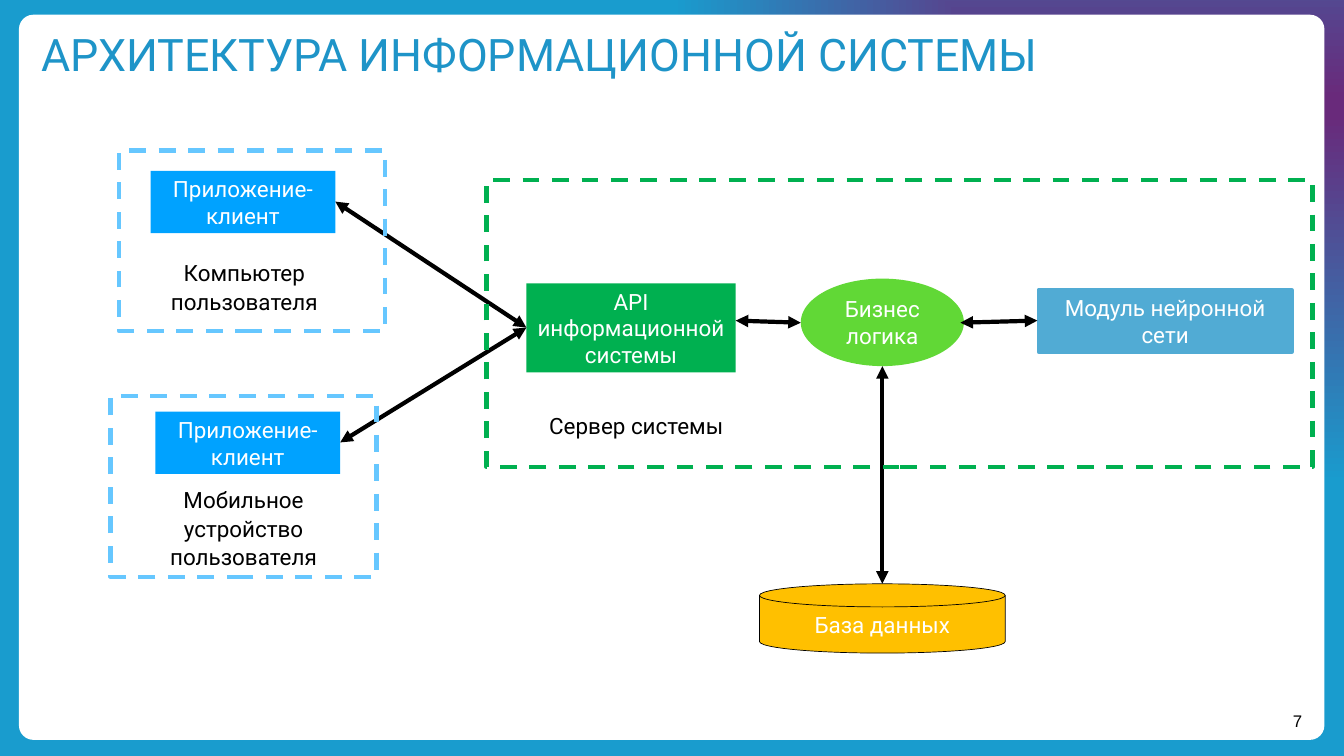
from lxml.etree import SubElement
from pptx import Presentation
from pptx.dml.color import RGBColor
from pptx.enum.dml import MSO_LINE
from pptx.enum.shapes import MSO_CONNECTOR, MSO_SHAPE
from pptx.enum.text import MSO_ANCHOR, PP_ALIGN
from pptx.oxml import parse_xml
from pptx.oxml.ns import nsdecls, qn
from pptx.util import Pt

# Content: left, top, width, height in points
TITLE = "АРХИТЕКТУРА ИНФОРМАЦИОННОЙ СИСТЕМЫ"
PAGE = "7"
CLIENT = "Приложение-клиент"
NODES = {  # shape, box, fill, line colour, line width, text
    "logic": (MSO_SHAPE.OVAL, (1144, 398, 233, 125), "61D836", None, 0, "Бизнес логика"),
    "data": (MSO_SHAPE.FLOWCHART_MAGNETIC_DISK, (1085, 834, 351, 99),
             "FFC000", "000000", 1, "База данных"),
    "neural": (MSO_SHAPE.FLOWCHART_PROCESS, (1484, 414, 361, 89),
               "51ABD4", "51ABD4", 6, "Модуль нейронной\nсети"),
    "api": (MSO_SHAPE.RECTANGLE, (752, 405, 299, 127), "00B050", None, 0,
            "API\vинформационной системы"),
    "desktop": (MSO_SHAPE.RECTANGLE, (215, 244, 264, 89), "00A2FF", None, 0, CLIENT),
    "mobile": (MSO_SHAPE.RECTANGLE, (222, 588, 264, 89), "00A2FF", None, 0, CLIENT),
}
ARROWS = [
    ((479, 288), (752, 468)),    # desktop - API
    ((486, 632), (752, 468)),    # mobile - API
    ((1051, 458), (1144, 461)),  # API - logic
    ((1260.5, 834), (1260.5, 523)),  # database - logic
    ((1372, 461), (1482, 458)),  # logic - neural module
]
FRAMES = [
    ((170, 215, 380, 258), "66C7FF"),
    ((158, 566, 380, 258), "66C7FF"),
    ((695, 257, 1180, 410), "00B050"),
]
LABELS = [
    ((189, 364, 320, 87), "Компьютер пользователя"),
    ((188, 688, 320, 129), "Мобильное устройство пользователя"),
    ((749, 582, 320, 46), "Сервер системы"),
]


def rgb(value):
    return RGBColor.from_string(value)


def points(values):
    return [Pt(v) for v in values]


def write(s, text, color, size=32, font="Roboto", inset=6, anchor=MSO_ANCHOR.MIDDLE,
          wrap=True, **paragraph):
    tf = s.text_frame
    tf.text = text
    frame = {"word_wrap": wrap, "vertical_anchor": anchor}
    if inset is not None:
        sides = ("left", "top", "right", "bottom")
        frame.update({f"margin_{side}": Pt(inset) for side in sides})
    for name, value in frame.items():
        setattr(tf, name, value)
    for p in tf.paragraphs:
        for name, value in ({"alignment": PP_ALIGN.CENTER} | paragraph).items():
            setattr(p, name, value)
        for r in p.runs:
            for name, value in {"size": Pt(size), "name": font}.items():
                setattr(r.font, name, value)
            r.font.color.rgb = rgb(color)


def add_shape(kind, box, fill=None, line=None, width=0):
    s = slide.shapes.add_shape(kind, *points(box))
    s.shadow.inherit = False
    if fill:
        s.fill.solid()
        s.fill.fore_color.rgb = rgb(fill)
    else:
        s.fill.background()
    if line:
        s.line.color.rgb = rgb(line)
        s.line.width = Pt(width)
    else:
        s.line.fill.background()
    return s


def add_arrow(start, end):
    c = slide.shapes.add_connector(MSO_CONNECTOR.STRAIGHT, *points(start + end))
    c.line.color.rgb = rgb("000000")
    c.line.width = Pt(6)
    ln = c.line._get_or_add_ln()
    for tag in ("a:headEnd", "a:tailEnd"):
        SubElement(ln, qn(tag), type="triangle")
    SubElement(c._element.spPr, qn("a:effectLst"))


prs = Presentation()
prs.slide_width, prs.slide_height = points((1920, 1080))
slide = prs.slides.add_slide(prs.slide_layouts[6])

# Gradient backdrop and white panel
backdrop = add_shape(MSO_SHAPE.RECTANGLE, (0, 0, 1920, 1080))
stops = "".join(f'<a:gs pos="{pos}"><a:srgbClr val="{color}"/></a:gs>'
                for pos, color in ((2000, "692A7B"), (100000, "199CCE")))
no_fill = backdrop._element.spPr.find(qn("a:noFill"))
no_fill.getparent().replace(no_fill, parse_xml(
    f'<a:gradFill {nsdecls("a")}><a:gsLst>{stops}</a:gsLst><a:path path="shape">'
    '<a:fillToRect l="106000" t="14000" r="-6000" b="86000"/></a:path></a:gradFill>'))
panel = add_shape(MSO_SHAPE.ROUNDED_RECTANGLE, (27, 21, 1865, 1036), "FFFFFF")
panel.adjustments[0] = 0.02

# Title and page number
title = slide.shapes.add_textbox(*points((53, 32, 1808, 88)))
write(title, TITLE, "1E94C8", size=64, alignment=PP_ALIGN.LEFT)
number = slide.shapes.add_textbox(*points((1845, 1012, 15, 34)))
write(number, PAGE, "000000", size=24, font="Arial", inset=2, wrap=False)

# Components and their connections
for kind, box, fill, line, width, text in NODES.values():
    write(add_shape(kind, box, fill, line, width), text, "FFFFFF")
for start, end in ARROWS:
    add_arrow(start, end)

# Dashed frames and their labels
for box, color in FRAMES:
    add_shape(MSO_SHAPE.RECTANGLE, box, line=color, width=6).line.dash_style = MSO_LINE.DASH
for box, text in LABELS:
    write(slide.shapes.add_textbox(*points(box)), text, "000000", inset=None,
          anchor=MSO_ANCHOR.TOP, line_spacing=1.07, space_after=Pt(8))

prs.save("out.pptx")
